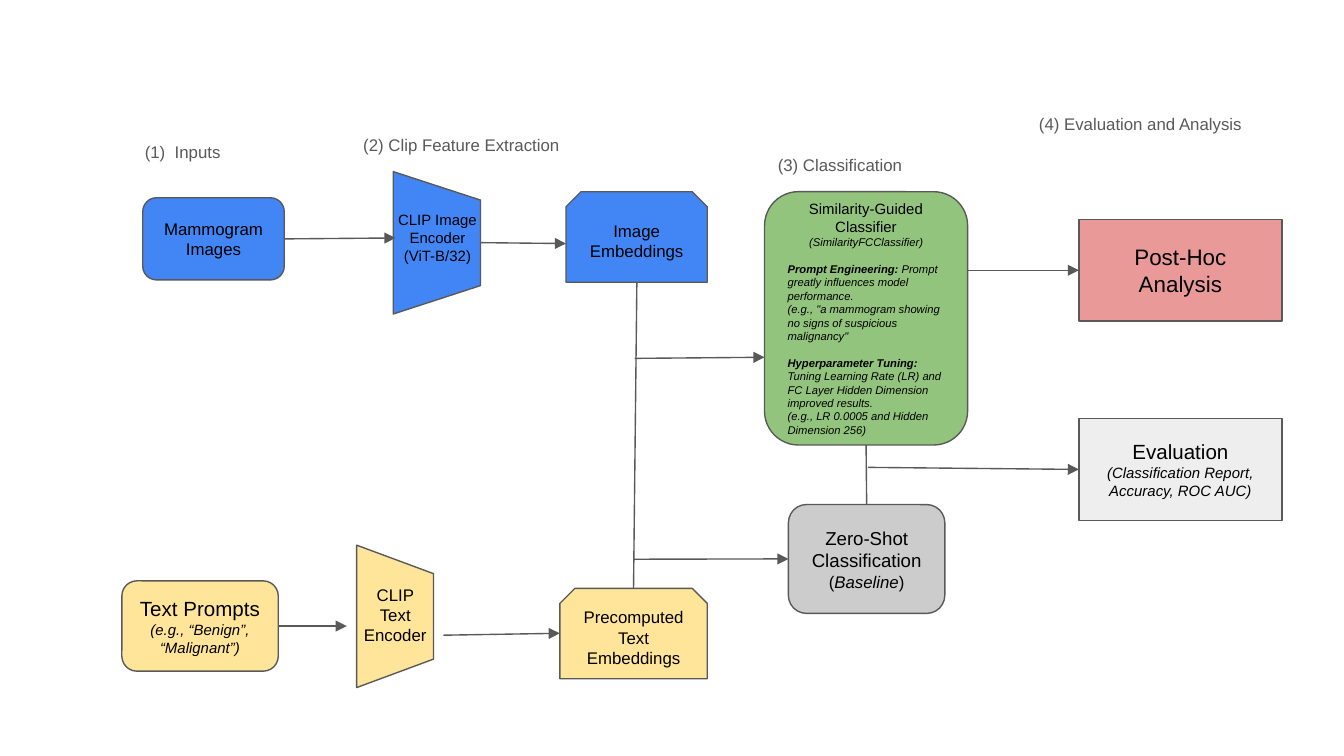
from lxml import etree
from pptx import Presentation
from pptx.dml.color import RGBColor
from pptx.enum.shapes import MSO_CONNECTOR, MSO_SHAPE
from pptx.enum.text import MSO_ANCHOR, MSO_AUTO_SIZE, PP_ALIGN
from pptx.oxml.ns import qn
from pptx.util import Pt

ROUND = MSO_SHAPE.ROUNDED_RECTANGLE
SNIP = MSO_SHAPE.SNIP_2_SAME_RECTANGLE
RECT = MSO_SHAPE.RECTANGLE
FUNNEL = MSO_SHAPE.FLOWCHART_MANUAL_OPERATION
STRAIGHT = MSO_CONNECTOR.STRAIGHT
MIDDLE, TOP = MSO_ANCHOR.MIDDLE, MSO_ANCHOR.TOP
GROW = MSO_AUTO_SIZE.SHAPE_TO_FIT_TEXT
LEFT, CENTER = PP_ALIGN.LEFT, PP_ALIGN.CENTER

BLACK = RGBColor(0x00, 0x00, 0x00)
GRAY = RGBColor(0x59, 0x59, 0x59)
BLUE = RGBColor(0x42, 0x85, 0xF4)
YELLOW = RGBColor(0xFF, 0xE5, 0x99)
GREEN = RGBColor(0x93, 0xC4, 0x7D)
SILVER = RGBColor(0xCC, 0xCC, 0xCC)
PALE = RGBColor(0xEE, 0xEE, 0xEE)
PINK = RGBColor(0xEA, 0x99, 0x99)


def write(shape, paras, anchor, color):
    frame = shape.text_frame
    frame.word_wrap = True
    frame.vertical_anchor = anchor
    frame.margin_left = frame.margin_right = Pt(7.2)
    frame.margin_top = frame.margin_bottom = Pt(7.2)
    for i, (align, gap, runs) in enumerate(paras):
        para = frame.paragraphs[0] if i == 0 else frame.add_paragraph()
        para.alignment = align
        para.space_before = Pt(gap)
        for text, size, style in runs:
            if text == "\n":
                para.add_line_break()
                continue
            run = para.add_run()
            run.text = text
            run.font.name = "Arial"
            run.font.size = Pt(size)
            run.font.bold = "b" in style
            run.font.italic = "i" in style
            run.font.color.rgb = color


def draw(kind, box, fill):
    shape = slide.shapes.add_shape(kind, *map(Pt, box))
    shape.shadow.inherit = False
    shape.fill.solid()
    shape.fill.fore_color.rgb = fill
    shape.line.color.rgb = GRAY
    shape.line.width = Pt(0.75)
    return shape


deck = Presentation()
deck.slide_width, deck.slide_height = Pt(720), Pt(405)
slide = deck.slides.add_slide(deck.slide_layouts[6])

blocks = {
    "mammo": (ROUND, (76.5, 106, 75.8, 44), BLUE, [
        (CENTER, 0, [("Mammogram Images", 9, "")])]),
    "prompts": (ROUND, (65.3, 311.2, 83.8, 48.4), YELLOW, [
        (CENTER, 0, [("Text Prompts ", 11, ""),
                     ("(e.g., “Benign”, “Malignant”)", 8, "i")])]),
    "image": (SNIP, (303.2, 102.7, 75.7, 48.5), BLUE, [
        (CENTER, 0, [("Image Embeddings", 9, "")])]),
    "text": (SNIP, (299.9, 315.2, 79, 48.4), YELLOW, [
        (CENTER, 0, [("Precomputed Text Embeddings", 9, "")])]),
    "guided": (ROUND, (409.6, 102.7, 108.8, 135.7), GREEN, [
        (CENTER, 0, [("Similarity-Guided Classifier ", 8, ""),
                     ("(SimilarityFCClassifier)", 6, "i")]),
        (LEFT, 7, [("Prompt Engineering: ", 6, "bi"),
                   ("Prompt greatly influences model performance.", 6, "i")]),
        (LEFT, 0, [("(e.g., \"a mammogram showing no signs of suspicious "
                    "malignancy\"", 6, "i")]),
        (LEFT, 7, [("Hyperparameter Tuning:", 6, "bi"), ("\n", 6, ""),
                   ("Tuning Learning Rate (LR) and FC Layer Hidden Dimension "
                    "improved results.", 6, "i")]),
        (LEFT, 0, [("(e.g., LR 0.0005 and Hidden Dimension 256)", 6, "i")])]),
    "zero": (ROUND, (422.4, 270.3, 83.8, 58.3), SILVER, [
        (CENTER, 0, [("Zero-Shot Classification ", 10, ""), ("(", 9, ""),
                     ("Baseline", 9, "i"), (")", 9, "")])]),
    "score": (RECT, (578, 224.2, 108.8, 54.6), PALE, [
        (CENTER, 0, [("Evaluation", 11, "")]),
        (CENTER, 0, [("(Classification Report, Accuracy, ROC AUC)", 8, "i")])]),
    "posthoc": (RECT, (578, 117.5, 108.8, 54.6), PINK, [
        (CENTER, 0, [("Post-Hoc Analysis", 12, "")])]),
}
nodes = {}
for name, (kind, box, fill, paras) in blocks.items():
    nodes[name] = draw(kind, box, fill)
    write(nodes[name], paras, MIDDLE, BLACK)

coders = [
    ((173.5, 309.6, 76.3, 41.2), YELLOW, (185.8, 306, 51.84, 69.1),
     "CLIP Text Encoder", 9),
    ((195.9, 106.7, 76.3, 46.8), BLUE, (204.5, 105.8, 59.8, 58.3),
     "CLIP Image Encoder (ViT-B/32)", 8),
]
for box, fill, area, words, size in coders:
    draw(FUNNEL, box, fill).rotation = 270
    label = slide.shapes.add_textbox(*map(Pt, area))
    write(label, [(CENTER, 0, [(words, size, "")])], TOP, BLACK)
    label.text_frame.auto_size = GROW

titles = [
    (70.5, 70.6, "(1)  Inputs"),
    (187.5, 66.5, "(2) Clip Feature Extraction"),
    (409.6, 77.2, "(3) Classification"),
    (549.5, 55.4, "(4) Evaluation and Analysis"),
]
for x, y, words in titles:
    title = slide.shapes.add_textbox(Pt(x), Pt(y), Pt(min(400, 720 - x)), Pt(25))
    write(title, [(LEFT, 0, [(words, 9, "")])], TOP, GRAY)
    title.text_frame.auto_size = GROW

lines = [
    ((152.3, 128, 211.9, 127.5), True, ("mammo", 3), None),
    ((257.8, 130, 303.2, 130.5), True, None, None),
    ((149.1, 335.4, 185.8, 335.4), True, ("prompts", 3), None),
    ((237.5, 340.3, 299.9, 339.3), True, None, None),
    ((341.2, 151.2, 339.4, 315.2), False, None, None),
    ((340, 192, 409.6, 191.4), True, None, None),
    ((339.4, 299.6, 422.4, 299.4), True, None, ("zero", 1)),
    ((465, 250.4, 578, 251.5), True, None, ("score", 1)),
    ((518.4, 144.8, 578, 144.8), True, None, ("posthoc", 1)),
    ((464, 238.4, 464.3, 270.3), False, ("guided", 2), ("zero", 0)),
]
for ends, arrow, start, stop in lines:
    line = slide.shapes.add_connector(STRAIGHT, *map(Pt, ends))
    if start:
        line.begin_connect(nodes[start[0]], start[1])
    if stop:
        line.end_connect(nodes[stop[0]], stop[1])
    line.line.color.rgb = GRAY
    line.line.width = Pt(0.75)
    if arrow:
        etree.SubElement(line.line._get_or_add_ln(), qn("a:tailEnd"), type="triangle")
    etree.SubElement(line._element.spPr, qn("a:effectLst"))

deck.save("out.pptx")
